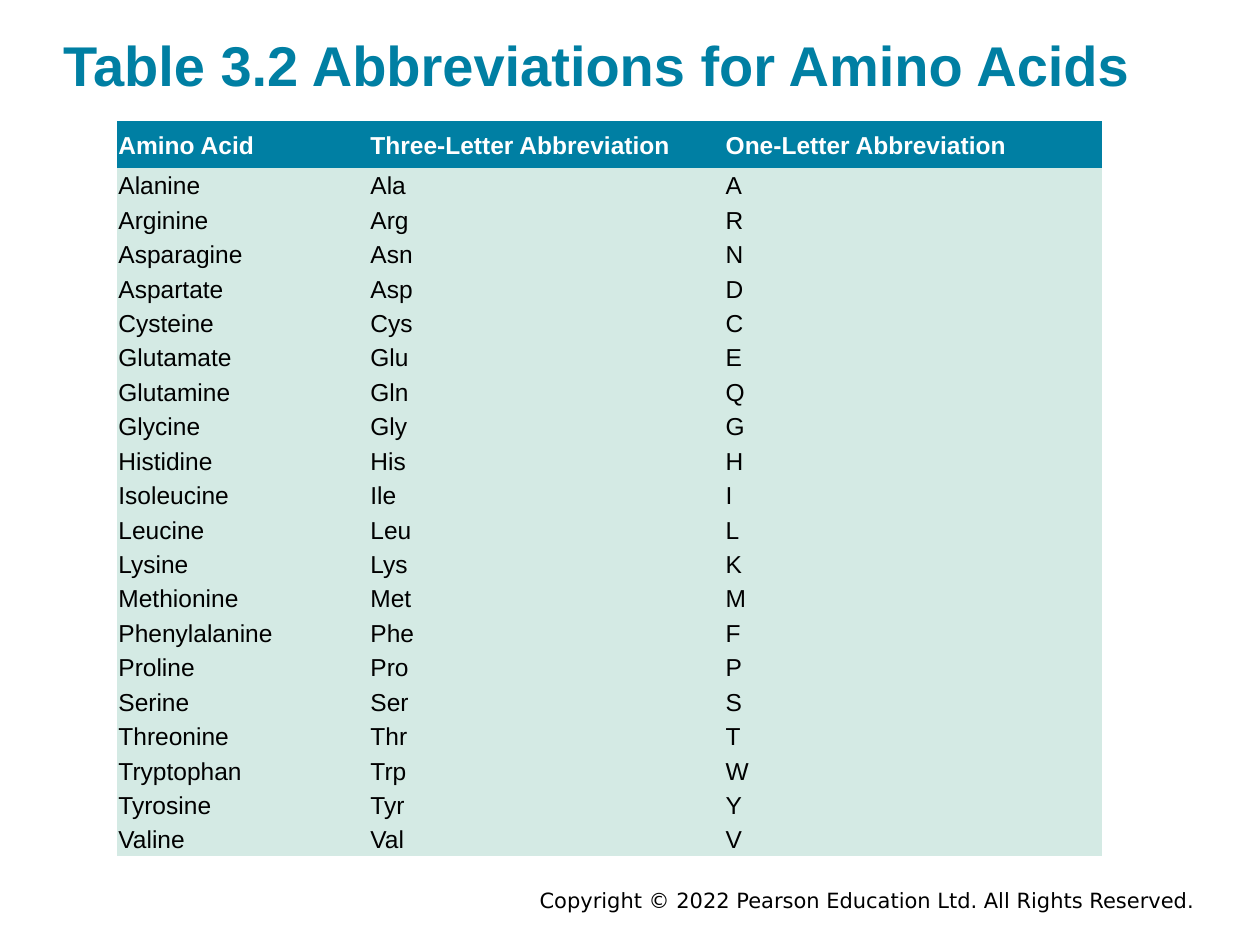
import pptx
import pptx.dml.color
import pptx.enum.text
import pptx.oxml.ns
import pptx.util

Inches = pptx.util.Inches
Pt = pptx.util.Pt
ALIGN = pptx.enum.text.PP_ALIGN
MIDDLE = pptx.enum.text.MSO_ANCHOR.MIDDLE

TITLE = "Table 3.2 Abbreviations for Amino Acids"
COPYRIGHT = "Copyright © 2022 Pearson Education Ltd. All Rights Reserved."
HEADERS = ("Amino Acid", "Three-Letter Abbreviation", "One-Letter Abbreviation")
AMINO_ACIDS = [
    ("Alanine", "Ala", "A"),
    ("Arginine", "Arg", "R"),
    ("Asparagine", "Asn", "N"),
    ("Aspartate", "Asp", "D"),
    ("Cysteine", "Cys", "C"),
    ("Glutamate", "Glu", "E"),
    ("Glutamine", "Gln", "Q"),
    ("Glycine", "Gly", "G"),
    ("Histidine", "His", "H"),
    ("Isoleucine", "Ile", "I"),
    ("Leucine", "Leu", "L"),
    ("Lysine", "Lys", "K"),
    ("Methionine", "Met", "M"),
    ("Phenylalanine", "Phe", "F"),
    ("Proline", "Pro", "P"),
    ("Serine", "Ser", "S"),
    ("Threonine", "Thr", "T"),
    ("Tryptophan", "Trp", "W"),
    ("Tyrosine", "Tyr", "Y"),
    ("Valine", "Val", "V"),
]

THEME = {
    "font": "Arial", "footer_font": "DejaVu Sans",
    "teal": "007FA3", "mint": "D4EAE4", "white": "FFFFFF", "black": "000000",
    "title_size": 32, "table_size": 14, "footer_size": 12,
}

TITLE_BOX = (0.5, 0.24, 9, 0.54)
FOOTER_BOX = (1.75, 7.03, 7.83, 0.22)
TABLE_LEFT, TABLE_TOP, TABLE_HEIGHT = 0.93, 0.96, 5.84
COLUMN_WIDTHS = (2, 2.82, 3)
HEADER_HEIGHT = 0.37
NO_STYLE_NO_GRID = "{2D5ABB26-0587-4C30-8999-92F81FD0307C}"


def rgb(name):
    return pptx.dml.color.RGBColor.from_string(THEME[name])


def add_run(paragraph, text, size, color, font="font", bold=False):
    run = paragraph.add_run()
    run.text = text
    run.font.name = THEME[font]
    run.font.size = Pt(THEME[size])
    run.font.bold = bold
    run.font.color.rgb = rgb(color)


def add_title(slide):
    title = slide.shapes.title
    title.left, title.top, title.width, title.height = map(Inches, TITLE_BOX)
    frame = title.text_frame
    frame.margin_left = frame.margin_right = 0
    frame.margin_top = frame.margin_bottom = 0
    frame.vertical_anchor = MIDDLE
    frame.word_wrap = True
    frame.auto_size = pptx.enum.text.MSO_AUTO_SIZE.NONE
    paragraph = frame.paragraphs[0]
    paragraph.alignment = ALIGN.LEFT
    add_run(paragraph, TITLE, "title_size", "teal", bold=True)


def fill_cell(cell, text, is_header):
    cell.fill.solid()
    cell.fill.fore_color.rgb = rgb("teal" if is_header else "mint")
    cell.margin_left = cell.margin_right = cell.margin_top = Inches(0.01)
    cell.margin_bottom = 0
    cell.vertical_anchor = MIDDLE
    paragraph = cell.text_frame.paragraphs[0]
    paragraph.line_spacing = 1.07
    paragraph.space_after = Pt(8)
    add_run(paragraph, text, "table_size", "white" if is_header else "black",
            bold=is_header)


def add_amino_acid_table(slide):
    rows = [HEADERS] + AMINO_ACIDS
    graphic_frame = slide.shapes.add_table(
        len(rows), len(HEADERS), Inches(TABLE_LEFT), Inches(TABLE_TOP),
        Inches(sum(COLUMN_WIDTHS)), Inches(TABLE_HEIGHT))
    table = graphic_frame.table
    table.horz_banding = False
    for style in graphic_frame.element.iter(pptx.oxml.ns.qn("a:tableStyleId")):
        style.text = NO_STYLE_NO_GRID
    for column, width in zip(table.columns, COLUMN_WIDTHS):
        column.width = Inches(width)
    body_height = (TABLE_HEIGHT - HEADER_HEIGHT) / len(AMINO_ACIDS)
    for index, values in enumerate(rows):
        is_header = index == 0
        table.rows[index].height = Inches(HEADER_HEIGHT if is_header else body_height)
        for cell, text in zip(table.rows[index].cells, values):
            fill_cell(cell, text, is_header)


def add_footer(slide):
    frame = slide.shapes.add_textbox(*map(Inches, FOOTER_BOX)).text_frame
    frame.word_wrap = True
    frame.vertical_anchor = MIDDLE
    paragraph = frame.paragraphs[0]
    paragraph.alignment = ALIGN.RIGHT
    add_run(paragraph, COPYRIGHT, "footer_size", "black", font="footer_font")


def main():
    presentation = pptx.Presentation()
    presentation.slide_width = Inches(10)
    presentation.slide_height = Inches(7.5)
    title_only = presentation.slide_layouts[5]
    slide = presentation.slides.add_slide(title_only)
    add_footer(slide)
    add_title(slide)
    add_amino_acid_table(slide)
    presentation.save("out.pptx")


if __name__ == "__main__":
    main()
